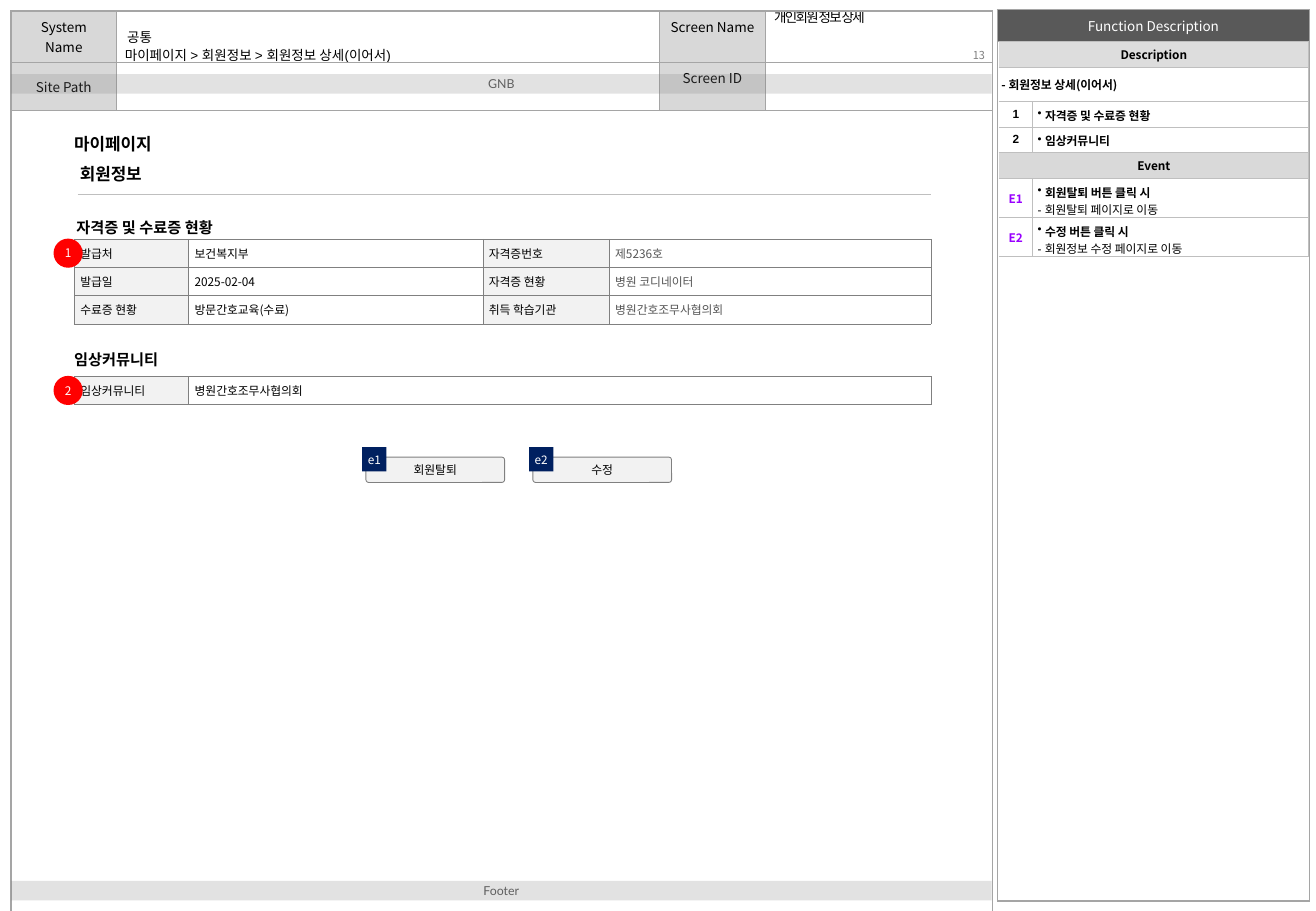
from lxml.etree import SubElement
from pptx import Presentation
from pptx.dml.color import RGBColor as RGB
from pptx.enum.shapes import MSO_CONNECTOR as CONN, MSO_SHAPE as SHAPE
from pptx.enum.text import MSO_ANCHOR as ANCHOR, MSO_AUTO_SIZE as FIT, PP_ALIGN as ALIGN
from pptx.oxml.ns import qn
from pptx.util import Cm, Pt

COLORS = {
    "black": "000000", "white": "FFFFFF", "head": "595959", "label": "D8D8D8",
    "frame": "A5A5A5", "rule": "BFBFBF", "desc": "DDDDDD", "event": "D9D9D9",
    "cell": "F2F2F2", "grid": "808080", "band": "7F7F7F", "band_text": "5F5F5F",
    "value": "565656", "badge": "FF0000", "tag": "002060", "code": "9900FF",
}
NOTO = "Noto Sans CJK KR"
NO_STYLE = "{2D5ABB26-0587-4C30-8999-92F81FD0307C}"
MID = {"vertical_anchor": ANCHOR.MIDDLE}
CENTER = {"alignment": ALIGN.CENTER}


def rgb(name):
    return RGB.from_string(COLORS[name])


def set_attrs(obj, values):
    for key, value in values.items():
        setattr(obj, key, value)


def margins(h, v):
    return {"margin_left": Cm(h), "margin_right": Cm(h), "margin_top": Cm(v), "margin_bottom": Cm(v)}


def write(p, text, size=7, color="black", font=NOTO, bold=False, **fmt):
    set_attrs(p, fmt)
    r = p.add_run()
    r.text = text
    set_attrs(r.font, {"name": font, "size": Pt(size), "bold": bold})
    r.font.color.rgb = rgb(color)
    SubElement(r._r.get_or_add_rPr(), qn("a:ea"), typeface=NOTO)
    return r


def add_bullet(p):
    pPr = p._p.get_or_add_pPr()
    pPr.set("marL", str(Cm(0.1)))
    pPr.set("indent", str(-Cm(0.1)))
    clr = SubElement(pPr, qn("a:buClr"))
    SubElement(clr, qn("a:srgbClr"), val=COLORS["black"])
    SubElement(pPr, qn("a:buChar"), char="•")


def add_grid(s, x, y, cols, rows):
    frame = s.shapes.add_table(len(rows), len(cols), Cm(x), Cm(y), Cm(sum(cols)), Cm(sum(rows)))
    tbl = frame.table
    set_attrs(tbl, {"first_row": False, "horz_banding": False})
    tbl._tbl.tblPr.find(qn("a:tableStyleId")).text = NO_STYLE
    for col, w in zip(tbl.columns, cols):
        col.width = Cm(w)
    for row, h in zip(tbl.rows, rows):
        row.height = Cm(h)
    return tbl


def style_cell(cell, fill=None, line="frame", width=0.75, sides="LRTB", h=0.13, v=0.1, **fmt):
    set_attrs(cell, {**margins(h, v), **fmt})
    if fill:
        cell.fill.solid()
        cell.fill.fore_color.rgb = rgb(fill)
    else:
        cell.fill.background()
    tcPr = cell._tc.get_or_add_tcPr()
    for i, side in enumerate(sides):
        ln = SubElement(tcPr, qn(f"a:ln{side}"), w=str(Pt(width)))
        SubElement(SubElement(ln, qn("a:solidFill")), qn("a:srgbClr"), val=COLORS[line])
        tcPr.insert(i, ln)
    return cell.text_frame.paragraphs[0]


def add_box(s, kind, box, text, fill, line=None, size=7, color="white", inset=(0, 0), font=NOTO):
    sp = s.shapes.add_shape(kind, *map(Cm, box))
    sp.shadow.inherit = False
    sp.fill.solid()
    sp.fill.fore_color.rgb = rgb(fill)
    if line:
        sp.line.color.rgb = rgb(line)
        sp.line.width = Pt(0.5)
    else:
        sp.line.fill.background()
    set_attrs(sp.text_frame, {**margins(*inset), **MID, "word_wrap": True})
    write(sp.text_frame.paragraphs[0], text, size, color, font, **CENTER)
    return sp


def add_label(s, box, text, size, bold=True, color="black", spacing=1.0, **frame):
    tf = s.shapes.add_textbox(*map(Cm, box)).text_frame
    set_attrs(tf, {"word_wrap": True, **frame})
    write(tf.paragraphs[0], text, size, color, bold=bold, line_spacing=spacing)


def fill_placeholder(sp, box, text, font, **frame):
    set_attrs(sp, dict(zip(("left", "top", "width", "height"), map(Cm, box))))
    tf = sp.text_frame
    set_attrs(tf, {**margins(0.2, 0.1), **MID, "auto_size": FIT.NONE, **frame})
    p = tf.paragraphs[0]
    r = write(p, text, 8, font=font, alignment=ALIGN.LEFT, line_spacing=0.9)
    pPr = p._p.get_or_add_pPr()
    pPr.set("marL", "0")
    pPr.set("indent", "0")
    return p, pPr, r


def screen_frame(s, x, y):
    tbl = add_grid(s, x, y, [2.21, 11.35, 2.21, 4.75], [1.07, 0.66, 17.35])
    tbl.cell(2, 0).merge(tbl.cell(2, 3))
    texts = [["System Name", "공통", "Screen Name", ""], ["Site Path", "", "Screen ID", ""], [""] * 4]
    for i, row in enumerate(texts):
        for j, text in enumerate(row):
            label = i < 2 and j % 2 == 0
            p = style_cell(tbl.cell(i, j), "label" if label else None, h=0.22, v=0.12,
                           vertical_anchor=ANCHOR.MIDDLE if j < 2 else ANCHOR.TOP)
            if text:
                write(p, text, 8, alignment=ALIGN.CENTER if label else ALIGN.LEFT)
    for text, dy in [("GNB", 1.32), ("Footer", 18.19)]:
        band = add_box(s, SHAPE.RECTANGLE, (x, y + dy, 20.5, 0.41), text, "band", None,
                       7.3, "band_text", (0.2, 0.1), "Lato")
        clr = band.fill._xPr.find(qn("a:solidFill"))[0]
        SubElement(clr, qn("a:alpha"), val="22000")
    add_label(s, (x + 19.91, y + 0.63, 0.86, 0.58), "13", 6.5, False, "band", **margins(0.2, 0.1), **MID)


def screen_titles(s, x, y):
    title, body = s.placeholders
    fill_placeholder(title, (x + 2.18, y + 0.66, 11.35, 0.56),
                     "마이페이지 > 회원정보 > 회원정보 상세(이어서)", "Arial")
    p, pPr, r = fill_placeholder(body, (x + 15.75, y + 0.02, 4.78, 0.58), "개인회원 정보 상세", NOTO,
                                 margin_bottom=Cm(0.41), word_wrap=False)
    p.space_before = Pt(10)
    SubElement(pPr, qn("a:buNone"))
    r._r.get_or_add_rPr().set("spc", "-100")


def info_table(s, x, y, cols, rows, number):
    tbl = add_grid(s, x, y, cols, [0.59] * len(rows))
    for i, row in enumerate(rows):
        for j, text in enumerate(row):
            p = style_cell(tbl.cell(i, j), "white" if j % 2 else "cell", "grid", 0.25, **MID)
            write(p, text, color="value" if j == 3 else "black")
    add_box(s, SHAPE.OVAL, (x - 0.43, y - 0.01, 0.61, 0.61), number, "badge")


def member_page(s, x, y):
    for dx, dy, w, h, text, size, spacing in [
        (0, 0, 4.06, 0.81, "마이페이지", 10, 1.5),
        (0.12, 0.84, 2.77, 0.69, "회원정보", 10, 1.0),
        (0.05, 1.78, 4.06, 0.76, "자격증 및 수료증 현황", 9, 1.5),
        (0, 4.55, 4.06, 0.76, "임상커뮤니티", 9, 1.5),
    ]:
        add_label(s, (x + dx, y + dy, w, h), text, size, spacing=spacing)
    rule = s.shapes.add_connector(CONN.STRAIGHT, Cm(x + 0.33), Cm(y + 1.6), Cm(x + 18.16), Cm(y + 1.6))
    rule.line.color.rgb = rgb("rule")
    rule.line.width = Pt(0.75)
    SubElement(rule._element.spPr, qn("a:effectLst"))
    info_table(s, x + 0.25, y + 2.54, [2.39, 6.15, 2.64, 6.73], [
        ["발급처", "보건복지부", "자격증번호", "제5236호"],
        ["발급일", "2025-02-04", "자격증 현황", "병원 코디네이터"],
        ["수료증 현황", "방문간호교육(수료)", "취득 학습기관", "병원간호조무사협의회"],
    ], "1")
    info_table(s, x + 0.25, y + 5.41, [2.39, 15.52], [["임상커뮤니티", "병원간호조무사협의회"]], "2")
    for i, (text, tag) in enumerate([("회원탈퇴", "e1"), ("수정", "e2")]):
        bx, by = x + 6.35 + 3.49 * i, y + 7.1
        button = add_box(s, SHAPE.ROUNDED_RECTANGLE, (bx, by, 2.9, 0.53), text, "cell", "grid",
                         color="black", inset=(0.25, 0.1))
        button.adjustments[0] = 0.11
        add_box(s, SHAPE.RECTANGLE, (bx - 0.08, by - 0.21, 0.51, 0.51), tag, "tag")


def note_table(s, x, y, heights, heading, fill, intro, notes, code):
    tbl = add_grid(s, x, y, [0.71, 5.77], heights)
    line = {"line": "rule"}
    spans = [heading] + ([intro] if intro else [])
    for i, text in enumerate(spans):
        tbl.cell(i, 0).merge(tbl.cell(i, 1))
        p = style_cell(tbl.cell(i, 0), None if i else fill, sides="RTB", h=0 if i else 0.13, **line, **MID)
        style_cell(tbl.cell(i, 1), None if i else fill, sides="RTB", **line)
        write(p, text, bold=True, alignment=ALIGN.LEFT if i else ALIGN.CENTER)
    for i, (key, title, detail) in enumerate(notes, len(spans)):
        p = style_cell(tbl.cell(i, 0), sides="RTB", h=0, v=0, **line, **MID)
        write(p, key, bold=True, **code, **CENTER)
        p = style_cell(tbl.cell(i, 1), h=0.1, margin_bottom=0, **line)
        write(p, title, font="Arial", bold=True)
        add_bullet(p)
        if detail:
            write(tbl.cell(i, 1).text_frame.add_paragraph(), detail, font="Arial")


def function_panel(s, x, y):
    tbl = add_grid(s, x, y, [6.53], [0.66, 17.98])
    write(style_cell(tbl.cell(0, 0), "head", h=0.2, v=0.12), "Function Description", 8, "white", **CENTER)
    style_cell(tbl.cell(1, 0))
    note_table(s, x + 0.03, y + 0.66, [0.55, 0.71, 0.53, 0.53], "Description", "desc",
               " - 회원정보 상세(이어서)",
               [("1", " 자격증 및 수료증 현황", None), ("2", " 임상커뮤니티", None)], {"font": "Arial"})
    note_table(s, x + 0.03, y + 2.98, [0.56, 0.77, 0.77], "Event", "event", None,
               [("E1", " 회원탈퇴 버튼 클릭 시", "- 회원탈퇴 페이지로 이동"),
                ("E2", " 수정 버튼 클릭 시", "- 회원정보 수정 페이지로 이동")], {"color": "code"})


def main():
    prs = Presentation()
    set_attrs(prs, {"slide_width": Cm(27.51), "slide_height": Cm(19.05)})
    s = prs.slides.add_slide(prs.slide_layouts[1])
    function_panel(s, 20.85, 0.2)
    screen_frame(s, 0.23, 0.23)
    screen_titles(s, 0.23, 0.23)
    member_page(s, 1.3, 2.46)
    prs.save("out.pptx")


if __name__ == "__main__":
    main()
